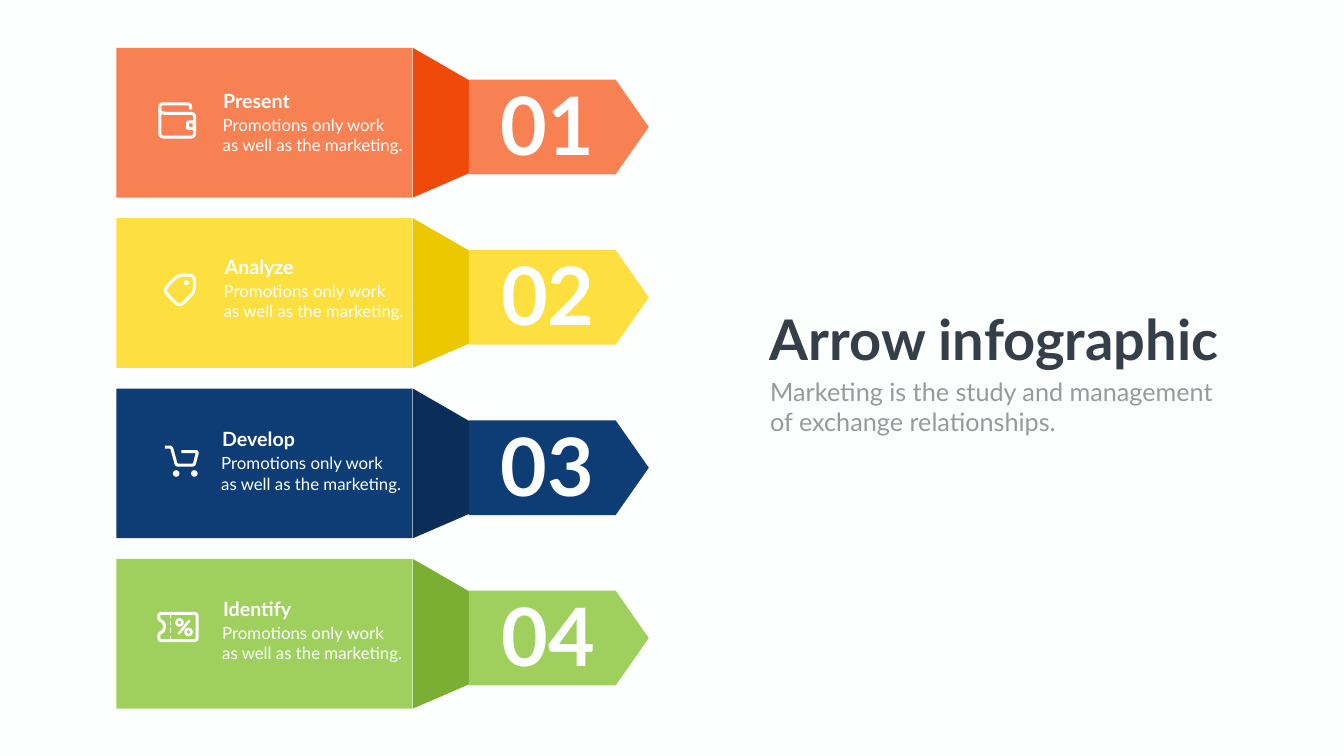
"""Build the arrow infographic slide with four numbered steps."""
import dataclasses
import math

import lxml.etree
import pptx
import pptx.dml.color
import pptx.enum.shapes
import pptx.enum.text
import pptx.oxml.ns
import pptx.shapes.base
import pptx.slide
import pptx.util

PX = 9144
PITCH = 338
FONT = "Lato"
CURVE_STEPS = 6
COLORS = {
    "paper": "FDFFFE", "icon": "FFFFFF", "title": "353E49", "subtitle": "989998",
    "orange": "F88153", "orange_fold": "EF4A0A", "yellow": "FDE040", "yellow_fold": "EBC802",
    "blue": "0D3D74", "blue_fold": "0A2E57", "green": "9FD05E", "green_fold": "7AAF33",
}
PROMOTION = "Promotions only work\nas well as the marketing."
Point = tuple[float, float]
Shapes = pptx.shapes.shapetree.SlideShapes
Preset = pptx.enum.shapes.MSO_SHAPE


@dataclasses.dataclass(frozen=True)
class Stroke:
    """An icon outline with rounded corners."""
    points: list[Point]
    radius: int
    closed: bool = False


@dataclasses.dataclass(frozen=True)
class Block:
    """A preset icon part, solid when it has no line width."""
    preset: Preset
    box: tuple[int, int, int, int]
    width: int = 0


@dataclasses.dataclass(frozen=True)
class Rule:
    """A straight icon line."""
    start: tuple[int, int]
    end: tuple[int, int]
    width: int


@dataclasses.dataclass(frozen=True)
class Step:
    """One arrow with its label, text position and icon."""
    heading: str
    color: str
    heading_at: tuple[int, int]
    detail_x: int
    number_x: int
    icon: list[Stroke | Block | Rule]


WALLET = [
    Stroke([(317, 216), (317, 272), (386, 272), (386, 225), (325, 225)], 8),
    Stroke([(378, 217), (378, 206), (317, 206), (317, 224), (327, 224)], 7),
    Block(Preset.ROUNDED_RECTANGLE, (372, 242, 13, 13), 6),
]
TAG = [
    Stroke([(353, 546), (386, 546), (386, 579), (356, 609), (324, 576)], 12, True),
    Block(Preset.OVAL, (365, 556, 10, 10)),
]
CART = [
    Stroke([(327, 887), (340, 887), (350, 923), (385, 923), (392, 896), (360, 896)], 4),
    Block(Preset.OVAL, (343, 933, 13, 13)),
    Block(Preset.OVAL, (379, 933, 13, 13)),
]
TICKET = [
    Stroke([(315, 1271), (315, 1257), (324, 1253), (327, 1243), (324, 1234), (315, 1230),
            (315, 1217), (391, 1217), (391, 1271)], 6, True),
    *[Rule((338, top), (338, bottom), 3)
      for top, bottom in ((1221, 1227), (1232, 1241), (1247, 1256), (1261, 1267))],
    Rule((354, 1258), (376, 1231), 5),
    Block(Preset.OVAL, (350, 1229, 12, 12), 5),
    Block(Preset.OVAL, (368, 1248, 12, 12), 5),
]
STEPS = [
    Step("Present", "orange", (433, 171), 432, 983, WALLET),
    Step("Analyze", "yellow", (436, 500), 434, 984, TAG),
    Step("Develop", "blue", (431, 842), 429, 983, CART),
    Step("Identify", "green", (433, 1179), 431, 985, TICKET),
]


def rgb(color: str) -> pptx.dml.color.RGBColor:
    """Return the named colour."""
    return pptx.dml.color.RGBColor.from_string(COLORS[color])


def paint(shape: pptx.shapes.base.BaseShape, color: str, width: int = 0) -> None:
    """Fill a shape, or outline it when a line width is given."""
    shape.shadow.inherit = False
    if width:
        shape.fill.background()
        shape.line.color.rgb = rgb(color)
        shape.line.width = width * PX
    else:
        shape.fill.solid()
        shape.fill.fore_color.rgb = rgb(color)
        shape.line.fill.background()


def add_block(shapes: Shapes, preset: Preset, box: tuple[int, int, int, int], color: str,
              width: int = 0) -> pptx.shapes.base.BaseShape:
    """Draw a preset shape."""
    block = shapes.add_shape(preset, *(length * PX for length in box))
    paint(block, color, width)
    return block


def add_outline(shapes: Shapes, points: list[Point], color: str, width: int = 0,
                closed: bool = True) -> None:
    """Draw a freeform through the points."""
    corners = [(round(x * PX), round(y * PX)) for x, y in points]
    builder = shapes.build_freeform(*corners[0], scale=1.0)
    builder.add_line_segments(corners[1:], close=closed)
    paint(builder.convert_to_shape(), color, width)


def toward(start: Point, end: Point, radius: float) -> Point:
    """Return the point a radius from start, at most halfway to end."""
    share = min(radius / math.dist(start, end), 0.5)
    return start[0] + (end[0] - start[0]) * share, start[1] + (end[1] - start[1]) * share


def rounded(stroke: Stroke) -> list[Point]:
    """Return the stroke's points with its corners curved."""
    points, count = stroke.points, len(stroke.points)
    curve = []
    for index, corner in enumerate(points):
        if not stroke.closed and index in (0, count - 1):
            curve.append(corner)
            continue
        before = toward(corner, points[index - 1], stroke.radius)
        after = toward(corner, points[(index + 1) % count], stroke.radius)
        for step in range(CURVE_STEPS + 1):
            t = step / CURVE_STEPS
            curve.append(tuple((1 - t) ** 2 * a + 2 * t * (1 - t) * b + t ** 2 * c
                               for a, b, c in zip(before, corner, after)))
    return curve


def add_rule(shapes: Shapes, rule: Rule) -> None:
    """Draw a straight icon line."""
    ends = (length * PX for length in (*rule.start, *rule.end))
    line = shapes.add_connector(pptx.enum.shapes.MSO_CONNECTOR.STRAIGHT, *ends)
    line.line.color.rgb = rgb("icon")
    line.line.width = rule.width * PX
    lxml.etree.SubElement(line._element.spPr, pptx.oxml.ns.qn("a:effectLst"))


def add_icon(shapes: Shapes, icon: list[Stroke | Block | Rule]) -> None:
    """Draw every part of an icon."""
    for part in icon:
        if isinstance(part, Stroke):
            add_outline(shapes, rounded(part), "icon", 6, part.closed)
        elif isinstance(part, Block):
            add_block(shapes, part.preset, part.box, "icon", part.width)
        else:
            add_rule(shapes, part)


def add_text(shapes: Shapes, text: str, *, box: tuple[int, int, int, int], size: int,
             color: str = "paper", bold: bool = False, wrap: bool = True) -> None:
    """Write text with one paragraph per line."""
    frame = shapes.add_textbox(*(length * PX for length in box)).text_frame
    frame.word_wrap = wrap
    frame.auto_size = pptx.enum.text.MSO_AUTO_SIZE.SHAPE_TO_FIT_TEXT
    frame.text = text
    for paragraph in frame.paragraphs:
        font = paragraph.font
        font.name, font.size, font.bold = FONT, pptx.util.Pt(size), bold
        font.color.rgb = rgb(color)


def add_step(shapes: Shapes, index: int, step: Step) -> None:
    """Draw one folded arrow with its icon and texts."""
    top = 95 + index * PITCH
    add_block(shapes, Preset.RECTANGLE, (231, top, 587, 297), step.color)
    fold = [(819, top), (930, top + 64), (930, top + 249), (819, top + 297)]
    add_outline(shapes, fold, f"{step.color}_fold")
    arrow = add_block(shapes, Preset.PENTAGON, (930, top + 63, 357, 188), step.color)
    arrow.adjustments[0] = 0.35
    add_icon(shapes, step.icon)
    x, y = step.heading_at
    add_text(shapes, step.heading, box=(x, y, 266, 57), size=28, bold=True)
    add_text(shapes, PROMOTION, box=(step.detail_x, y + 52, 473, 172), size=24)
    add_text(shapes, f"{index + 1:02}", box=(step.number_x, top + 49, 207, 204), size=115,
             bold=True, wrap=False)


def main() -> None:
    """Build and save the slide."""
    deck = pptx.Presentation()
    deck.slide_width, deck.slide_height = 2666 * PX, 1500 * PX
    slide = deck.slides.add_slide(deck.slide_layouts[6])
    slide.background.fill.solid()
    slide.background.fill.fore_color.rgb = rgb("paper")
    for index, step in enumerate(STEPS):
        add_step(slide.shapes, index, step)
    add_text(slide.shapes, "Arrow infographic", box=(1517, 599, 934, 145), size=80,
             color="title", bold=True, wrap=False)
    add_text(slide.shapes, "Marketing is the study and management\nof exchange relationships.",
             box=(1518, 742, 974, 131), size=36, color="subtitle")
    deck.save("out.pptx")


if __name__ == "__main__":
    main()
